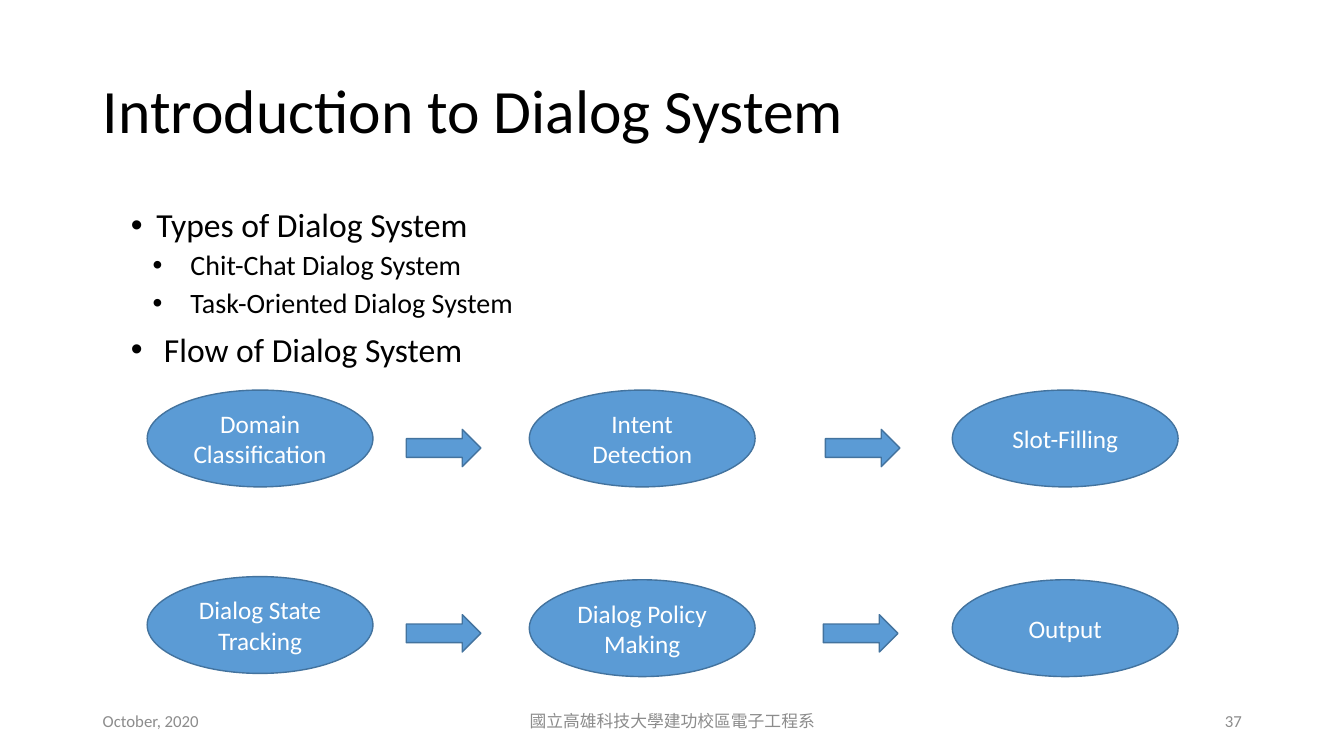
import lxml.etree
import pptx
import pptx.dml.color
import pptx.enum.shapes
import pptx.enum.text
import pptx.oxml.ns
import pptx.util

Cm = pptx.util.Cm
Pt = pptx.util.Pt
ALIGN = pptx.enum.text.PP_ALIGN
ANCHOR = pptx.enum.text.MSO_ANCHOR
SHAPE = pptx.enum.shapes.MSO_SHAPE


def colour(value):
    return pptx.dml.color.RGBColor.from_string(value)


class SlideBuilder:
    """Holds the style and the current slide, and draws each kind of element."""

    font_name = "Calibri"
    text_colour = "000000"
    footer_colour = "8C8C8C"
    fill_colour = "5B9BD5"
    line_colour = "43739E"

    def __init__(self, presentation):
        self.slide = presentation.slides.add_slide(presentation.slide_layouts[5])

    def format(self, paragraph, size, text_colour, alignment=ALIGN.LEFT):
        paragraph.alignment = alignment
        paragraph.font.name = self.font_name
        paragraph.font.size = Pt(size)
        paragraph.font.color.rgb = colour(text_colour)

    def title(self, text, left, top, width, height):
        title = self.slide.shapes.title
        title.left, title.top = Cm(left), Cm(top)
        title.width, title.height = Cm(width), Cm(height)
        frame = title.text_frame
        frame.text = text
        frame.vertical_anchor = ANCHOR.MIDDLE
        frame.auto_size = pptx.enum.text.MSO_AUTO_SIZE.NONE
        frame.paragraphs[0].line_spacing = 0.9
        self.format(frame.paragraphs[0], 44, self.text_colour)

    def text_box(self, left, top, width, height, anchor):
        box = self.slide.shapes.add_textbox(Cm(left), Cm(top), Cm(width), Cm(height))
        frame = box.text_frame
        frame.word_wrap = True
        frame.vertical_anchor = anchor
        return frame

    def bullets(self, items, left, top, width, height):
        levels = [(24, 10, 0.64, 0.64), (20, 5, 1.5, 0.95)]
        frame = self.text_box(left, top, width, height, ANCHOR.TOP)
        for index, (level, text) in enumerate(items):
            size, space, margin, hanging = levels[level]
            paragraph = frame.add_paragraph() if index else frame.paragraphs[0]
            paragraph.text = text
            paragraph.level = level
            paragraph.line_spacing = 0.9
            paragraph.space_before = Pt(space)
            properties = paragraph._p.get_or_add_pPr()
            properties.set("marL", str(Cm(margin)))
            properties.set("indent", str(-Cm(hanging)))
            for tag, name, value in [("a:buFont", "typeface", "Arial"), ("a:buChar", "char", "•")]:
                element = lxml.etree.SubElement(properties, pptx.oxml.ns.qn(tag))
                element.set(name, value)
            self.format(paragraph, size, self.text_colour)

    def footer(self, text, left, width, alignment):
        frame = self.text_box(left, 17.65, width, 1.02, ANCHOR.MIDDLE)
        frame.text = text
        self.format(frame.paragraphs[0], 12, self.footer_colour, alignment)

    def filled_shape(self, kind, left, top, width, height):
        shape = self.slide.shapes.add_shape(kind, Cm(left), Cm(top), Cm(width), Cm(height))
        shape.shadow.inherit = False
        shape.fill.solid()
        shape.fill.fore_color.rgb = colour(self.fill_colour)
        shape.line.color.rgb = colour(self.line_colour)
        shape.line.width = Pt(1)
        return shape

    def step(self, text, left, top):
        frame = self.filled_shape(SHAPE.OVAL, left, top, 5.69, 2.44).text_frame
        frame.text = text
        frame.word_wrap = True
        frame.vertical_anchor = ANCHOR.MIDDLE
        self.format(frame.paragraphs[0], 18, "FFFFFF", ALIGN.CENTER)

    def arrow(self, left, top):
        self.filled_shape(SHAPE.RIGHT_ARROW, left, top, 1.88, 0.94)


def main():
    presentation = pptx.Presentation()
    presentation.slide_width, presentation.slide_height = Cm(33.87), Cm(19.05)
    builder = SlideBuilder(presentation)
    builder.title("Introduction to Dialog System", 2.34, 1.02, 29.21, 3.68)
    builder.bullets(
        [
            (0, "Types of Dialog System"),
            (1, "Chit-Chat Dialog System"),
            (1, "Task-Oriented Dialog System"),
            (0, " Flow of Dialog System"),
        ],
        3.05, 5.13, 27.74, 11.91,
    )
    builder.footer("October, 2020", 2.34, 7.62, ALIGN.LEFT)
    builder.footer("國立高雄科技大學建功校區電子工程系", 11.23, 11.43, ALIGN.CENTER)
    builder.footer("37", 23.93, 7.62, ALIGN.RIGHT)

    step_lefts = [3.71, 13.34, 24]
    flow_rows = [
        (["Domain Classification", "Intent Detection", "Slot-Filling"],
         [9.83, 9.83, 9.83], [10.24, 20.8], 10.82),
        (["Dialog State Tracking", "Dialog Policy Making", "Output"],
         [14.53, 14.61, 14.61], [10.24, 20.75], 15.49),
    ]
    for names, step_tops, arrow_lefts, arrow_top in flow_rows:
        for name, left, top in zip(names, step_lefts, step_tops):
            builder.step(name, left, top)
        for left in arrow_lefts:
            builder.arrow(left, arrow_top)
    presentation.save("out.pptx")


if __name__ == "__main__":
    main()
